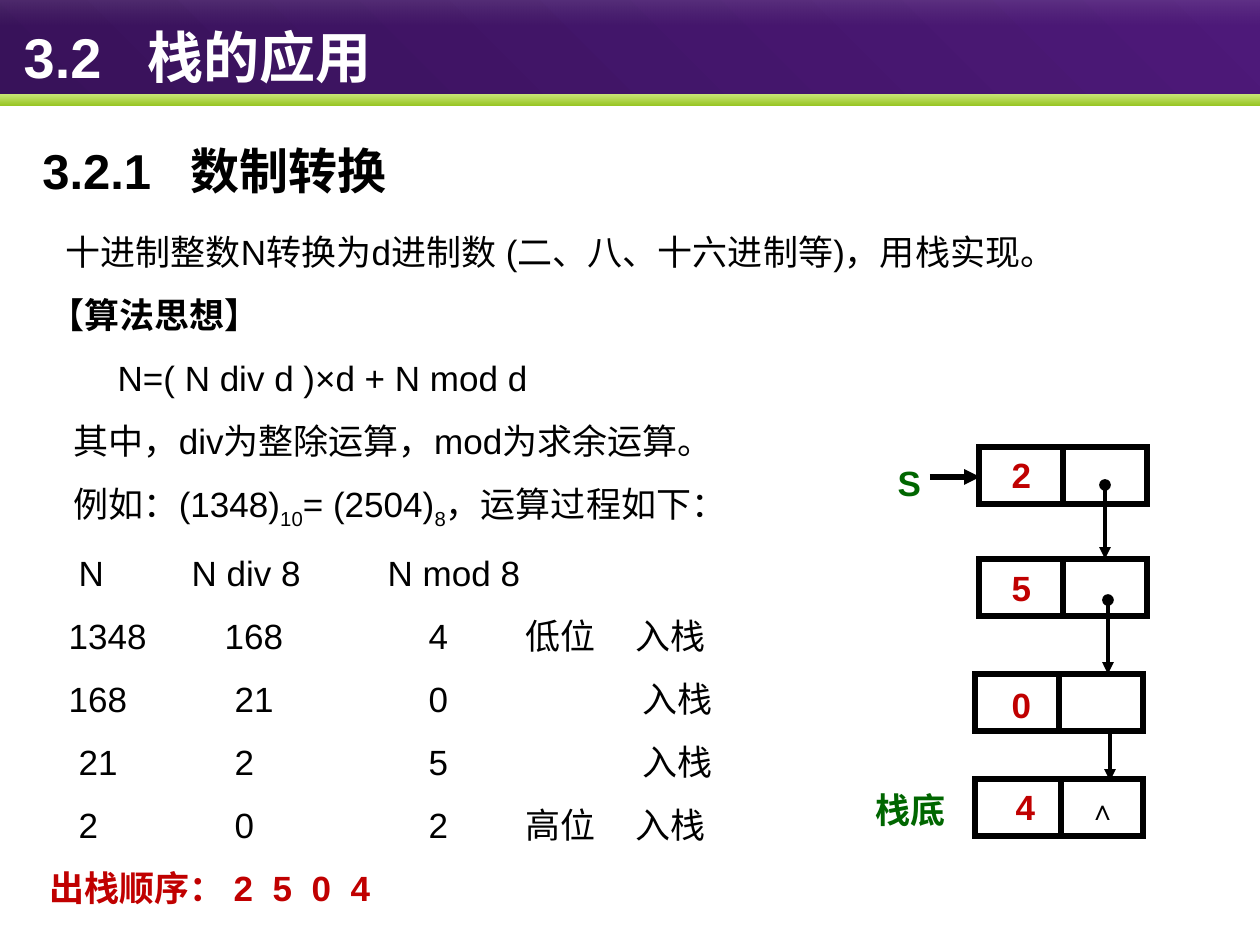
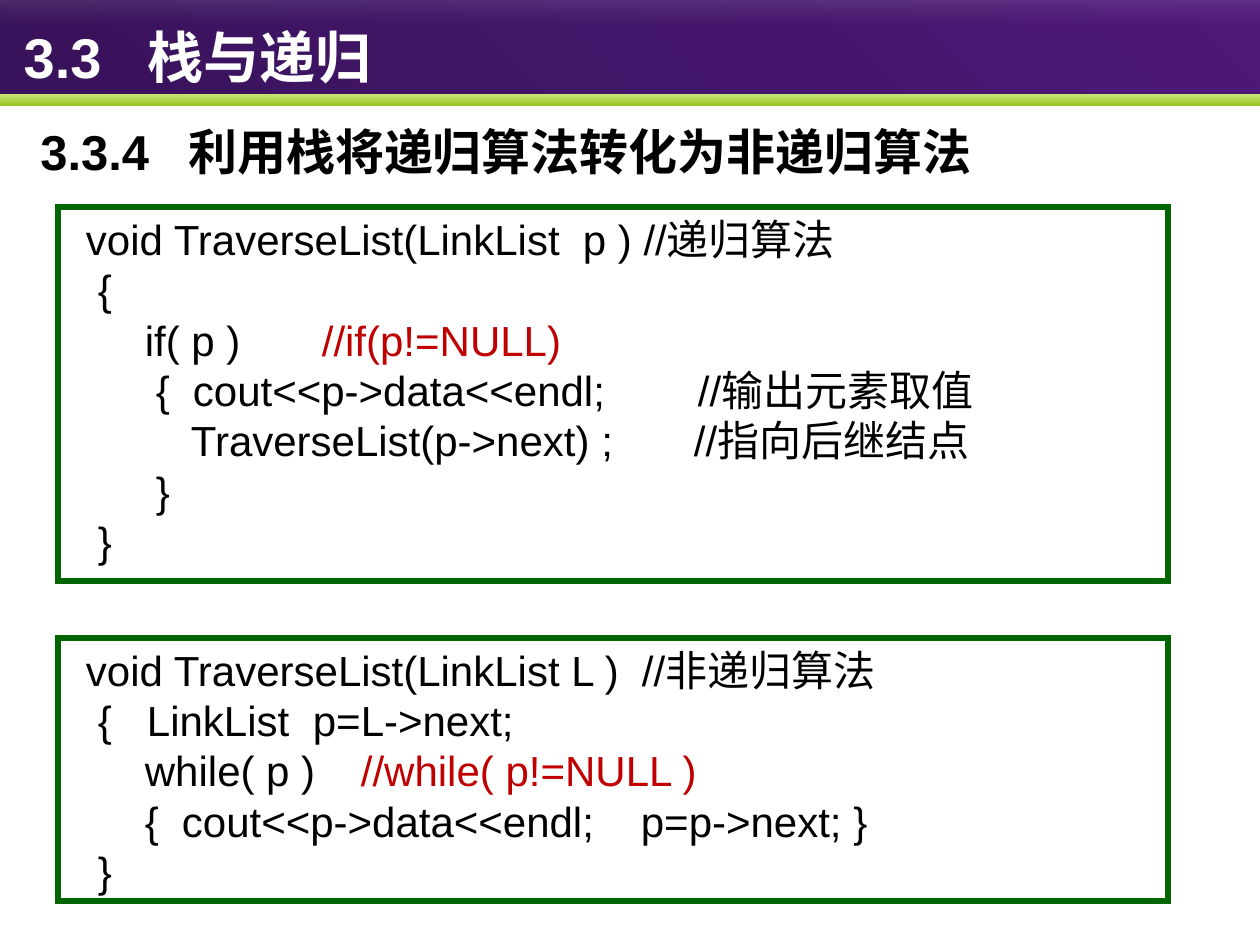
from dataclasses import dataclass
from typing import Optional

from lxml.etree import SubElement
from pptx import Presentation
from pptx.dml.color import RGBColor
from pptx.enum.lang import MSO_LANGUAGE_ID as Language
from pptx.enum.shapes import MSO_CONNECTOR as Connector, MSO_SHAPE as Preset
from pptx.enum.text import MSO_ANCHOR as Anchor, MSO_AUTO_SIZE as AutoSize, PP_ALIGN as Align
from pptx.oxml.ns import qn
from pptx.util import Emu, Pt

EMU_PER_PX = 914400 / 126
PAGE_W, PAGE_H = 1260, 945


@dataclass(frozen=True)
class Theme:
    font: str = "Arial"
    white: str = "FFFFFF"
    black: str = "000000"
    green: str = "006600"
    red: str = "C00000"
    purple_band: tuple = ("38125A", "4D1979")
    lime_band: tuple = ("C9E576", "97C523")
    gloss: tuple = ("FFFFFF", "B6B6B6")
    title: int = 32
    heading: int = 28
    code: int = 24
    body: int = 20
    mark: int = 16
    leading: float = 1.2
    border: float = 3
    link: float = 2.25


THEME = Theme()


@dataclass
class Span:
    """A piece of a line; x is its start, measured from the text's left edge."""
    text: str
    x: Optional[int] = None
    color: Optional[str] = None
    bold: Optional[bool] = None
    sub: bool = False


def px(length):
    return Emu(round(length * EMU_PER_PX))


def rgb(color):
    return RGBColor.from_string(color)


def place(shape, box):
    shape.left, shape.top, shape.width, shape.height = map(px, box)


# ---- Text ----

def indent_line(para, spans):
    """Start a lone piece by an indent, several pieces by tab stops."""
    stops = [span.x for span in spans if span.x]
    lone = len(stops) == 1 and spans[0].x
    props = para._p.get_or_add_pPr()
    if lone:
        props.set("marL", str(px(stops[0])))
    elif stops:
        tabs = SubElement(props, qn("a:tabLst"))
        for stop in stops:
            SubElement(tabs, qn("a:tab"), pos=str(px(stop)), algn="l")
    return not lone


def write(shape, lines, size=THEME.body, color=THEME.black, bold=False, align=Align.LEFT,
          anchor=Anchor.TOP, before=0, inset=None):
    frame = shape.text_frame
    frame.word_wrap = True
    frame.auto_size = AutoSize.NONE
    frame.vertical_anchor = anchor
    if inset is not None:
        frame.margin_left = px(inset)
    for number, line in enumerate(lines):
        para = frame.add_paragraph() if number else frame.paragraphs[0]
        spans = [Span(line)] if isinstance(line, str) else line
        para.alignment = align
        para.line_spacing = Pt(size * THEME.leading)
        # A line with a subscript needs a little more room
        para.space_before = Pt(before + (3.5 if any(span.sub for span in spans) else 0))
        para.space_after = Pt(0)
        tabbed = indent_line(para, spans)
        for span in spans:
            run = para.add_run()
            run.text = ("\t" if tabbed and span.x else "") + span.text
            font = run.font
            font.name = THEME.font
            font.size = Pt(size)
            font.bold = bold if span.bold is None else span.bold
            font.color.rgb = rgb(span.color or color)
            font.language_id = Language.SIMPLIFIED_CHINESE
            SubElement(font._element, qn("a:ea"), typeface=THEME.font)
            if span.sub:
                font._element.set("baseline", "-25000")


def add_text(page, box, lines, **style):
    write(page.shapes.add_textbox(*map(px, box)), lines, **style)


# ---- Shapes and lines ----

def add_frame(page, box, color, fill=None):
    shape = page.shapes.add_shape(Preset.RECTANGLE, *map(px, box))
    shape.shadow.inherit = False
    shape.line.color.rgb = rgb(color)
    shape.line.width = Pt(THEME.border)
    SubElement(shape.line._get_or_add_ln(), qn("a:miter"), lim="800000")
    if fill:
        shape.fill.solid()
        shape.fill.fore_color.rgb = rgb(fill)
    else:
        shape.fill.background()
    return shape


def add_line(page, start, end, width=THEME.border, head=None, tail=None):
    line = page.shapes.add_connector(Connector.STRAIGHT, *map(px, (*start, *end)))
    line.line.color.rgb = rgb(THEME.black)
    line.line.width = Pt(width)
    outline = line.line._get_or_add_ln()
    for tag, kind in (("a:headEnd", head), ("a:tailEnd", tail)):
        if kind:
            SubElement(outline, qn(tag), type=kind)
    SubElement(line._element.spPr, qn("a:effectLst"))


# ---- Shared master: list style, bands, titles and headings ----

def clear_list_style(deck):
    """Give the master's first list level no bullet and no hanging indent."""
    style = next(deck.slide_master._element.iter(qn("p:bodyStyle")))
    level = style.find(qn("a:lvl1pPr"))
    level.set("marL", "0")
    level.attrib.pop("indent", None)
    bullet = level.find(qn("a:buChar"))
    bullet.addprevious(level.makeelement(qn("a:buNone")))
    level.remove(bullet)


def add_master_bands(deck, page):
    """Draw the header bands and move them to the back of the master."""
    tree = deck.slide_master.shapes._spTree
    bands = (
        ((0, -4, PAGE_W, 98), THEME.purple_band, 45, None),
        ((0, 94, PAGE_W, 12), THEME.lime_band, 270, None),
        ((0, -4, PAGE_W, 30), THEME.gloss, 270, (13, 0)),
    )
    for number, (box, colors, angle, opacity) in enumerate(bands):
        band = page.shapes.add_shape(Preset.RECTANGLE, *map(px, box))
        band.shadow.inherit = False
        band.line.fill.background()
        band.fill.gradient()
        band.fill.gradient_angle = angle
        for index, stop in enumerate(band.fill.gradient_stops):
            stop.color.rgb = rgb(colors[index])
            if opacity:
                tint = next(band._element.iter(qn("a:gsLst")))[index][0]
                SubElement(tint, qn("a:alpha"), val=str(opacity[index] * 1000))
        band._element.nvSpPr.cNvPr.set("id", str(20 + number))
        tree.insert(2 + number, band._element)


def add_title(page, number, name):
    title = page.shapes.title
    place(title, (11, 0, 1247, 113))
    write(title, [[Span(number), Span(name, 124)]], size=THEME.title, color=THEME.white,
          bold=True, anchor=Anchor.MIDDLE)


def add_heading(page, box, number, name):
    add_text(page, box, [[Span(number), Span(name, 148)]], size=THEME.heading, bold=True)


# ---- Slide: number conversion with a stack ----

CONVERSION = [
    [Span("十进制整数N转换为d进制数 (二、八、十六进制等)，用栈实现。", 16)],
    [Span("【算法思想】", bold=True)],
    [Span("N=( N div d )×d + N mod d", 68)],
    [Span("其中，div为整除运算，mod为求余运算。", 24)],
    [Span("例如：(1348)", 24), Span("10", sub=True), Span("= (2504)"), Span("8", sub=True),
     Span("，运算过程如下：")],
    [Span("N", 29), Span("N div 8", 142), Span("N mod 8", 338)],
    [Span("1348", 19), Span("168", 175), Span("4", 379), Span("低位", 476), Span("入栈", 586)],
    [Span("168", 19), Span("21", 185), Span("0", 379), Span("入栈", 593)],
    [Span("21", 29), Span("2", 185), Span("5", 379), Span("入栈", 593)],
    [Span("2", 29), Span("0", 185), Span("2", 379), Span("高位", 476), Span("入栈", 586)],
    [Span("出栈顺序：", color=THEME.red, bold=True)]
    + [Span(digit, 184 + 39 * place_no, THEME.red, True)
       for place_no, digit in enumerate("2504")],
]


def add_stack(page, box):
    left, top = box[:2]
    node_w, node_h = 168, 57
    # Value, node corner, divider x, value corner
    nodes = (
        ("2", (103, 0), 187, (114, 0)),
        ("5", (103, 112), 187, (114, 113)),
        ("0", (99, 227), 183, (114, 230)),
        ("4", (99, 332), 185, (118, 332)),
    )
    for value, (x, y), divider, (value_x, value_y) in nodes:
        add_frame(page, (left + x, top + y, node_w, node_h), THEME.black, THEME.white)
        add_line(page, (left + divider, top + y), (left + divider, top + y + node_h))
        add_text(page, (left + value_x, top + value_y, 63, 55), [value], color=THEME.red,
                 bold=True, align=Align.CENTER, anchor=Anchor.MIDDLE)

    # Links from node to node
    for x, y, length, head in ((229, 38, 74, "oval"), (232, 153, 74, "oval"),
                               (234, 285, 49, None)):
        add_line(page, (left + x, top + y), (left + x, top + y + length), THEME.link,
                 head, "triangle")

    # Stack pointer, bottom label and end mark
    add_line(page, (left + 54, top + 30), (left + 104, top + 30), tail="triangle")
    label = dict(color=THEME.green, bold=True, anchor=Anchor.MIDDLE)
    add_text(page, (left + 9, top + 8, 49, 55), ["S"], align=Align.CENTER, **label)
    add_text(page, (left, top + 335, 100, 55), ["栈底"], inset=0, **label)
    add_text(page, (left + 195, top + 339, 63, 47), ["∧"], size=THEME.mark, bold=True,
             align=Align.CENTER)


def build_conversion(page):
    add_title(page, "3.2", "栈的应用")
    add_heading(page, (30, 134, 1186, 79), "3.2.1", "数制转换")
    body = page.placeholders[1]
    place(body, (37, 224, 1186, 684))
    write(body, CONVERSION, before=12)
    add_stack(page, (876, 447, 273, 388))


# ---- Slide: recursion turned into a loop ----

RECURSIVE = [
    [Span("void TraverseList(LinkList"), Span("p ) //递归算法", 497)],
    [Span("{", 12)],
    [Span("if( p )", 59), Span("//if(p!=NULL)", 236, THEME.red)],
    [Span("{", 70), Span("cout<<p->data<<endl;", 107), Span("//输出元素取值", 612)],
    [Span("TraverseList(p->next) ;", 105), Span("//指向后继结点", 608)],
    [Span("}", 70)],
    [Span("}", 12)],
]
ITERATIVE = [
    [Span("void TraverseList(LinkList L )"), Span("//非递归算法", 556)],
    [Span("{", 12), Span("LinkList", 61), Span("p=L->next;", 227)],
    [Span("while( p )", 59), Span("//while( p!=NULL )", 275, THEME.red)],
    [Span("{", 59), Span("cout<<p->data<<endl;", 96), Span("p=p->next; }", 555)],
    [Span("}", 12)],
]


def add_code(page, box, lines):
    write(add_frame(page, box, THEME.green), lines, size=THEME.code, inset=28)


def build_recursion(page):
    add_title(page, "3.3", "栈与递归")
    add_heading(page, (28, 115, 1042, 59), "3.3.4", "利用栈将递归算法转化为非递归算法")
    add_code(page, (58, 207, 1110, 374), RECURSIVE)
    add_code(page, (58, 638, 1110, 263), ITERATIVE)


def main():
    deck = Presentation()
    deck.slide_width, deck.slide_height = px(PAGE_W), px(PAGE_H)
    clear_list_style(deck)
    title_and_content, title_only = deck.slide_layouts[1], deck.slide_layouts[5]
    conversion = deck.slides.add_slide(title_and_content)
    add_master_bands(deck, conversion)
    build_conversion(conversion)
    build_recursion(deck.slides.add_slide(title_only))
    deck.save("out.pptx")


if __name__ == "__main__":
    main()
